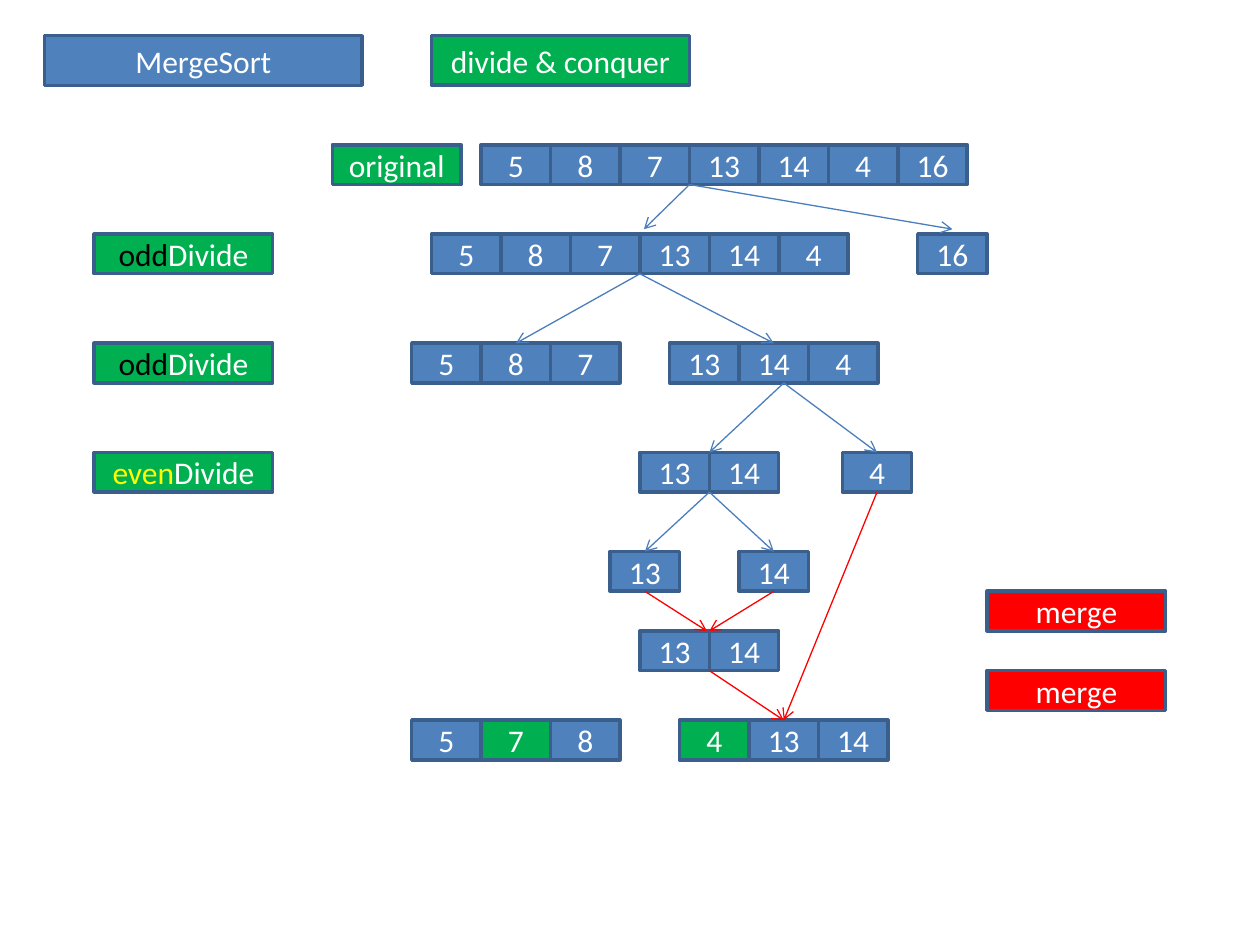
from dataclasses import dataclass

from pptx import Presentation
from pptx.dml.color import RGBColor
from pptx.enum.shapes import MSO_CONNECTOR as Connector, MSO_SHAPE as Shape
from pptx.enum.text import MSO_ANCHOR as Anchor, PP_ALIGN as Align
from pptx.oxml import parse_xml
from pptx.oxml.ns import nsdecls, qn
from pptx.util import Emu, Pt


@dataclass(frozen=True)
class Theme:
    blue: str = "4F81BD"
    green: str = "00B050"
    red: str = "FF0000"
    border: str = "3A5F8C"
    divide_arrow: str = "4B7EBC"
    white: str = "FFFFFF"
    black: str = "000000"
    yellow: str = "FFFF00"
    font: str = "Calibri"
    size: int = 18
    border_width: float = 2
    arrow_width: float = 0.75


THEME = Theme()
PX = 3600  # EMU
SLIDE_W, SLIDE_H = 2540, 1905
CELL_W, ROW_H = 140, 80
HEADER_Y, HEADER_H = 72, 100
STEP_W = 360
STEP_X, MERGE_X = 190, 1990
BOTTOM, TOP = 2, 0

TITLE = "MergeSort"
ODD = [("odd", THEME.black), ("Divide", THEME.white)]
EVEN = [("even", THEME.yellow), ("Divide", THEME.white)]
MERGE = [("merge", THEME.white)]

# runs, x, y, width, height, fill
LABELS = [
    ([("divide & conquer", THEME.white)], 870, HEADER_Y, 520, HEADER_H, THEME.green),
    ([("original", THEME.white)], 670, 292, 260, ROW_H, THEME.green),
    (ODD, STEP_X, 472, STEP_W, ROW_H, THEME.green),
    (ODD, STEP_X, 692, STEP_W, ROW_H, THEME.green),
    (EVEN, STEP_X, 912, STEP_W, ROW_H, THEME.green),
    (MERGE, MERGE_X, 1192, STEP_W, ROW_H, THEME.red),
    (MERGE, MERGE_X, 1352, STEP_W, ROW_H, THEME.red),
]

# x, y, numbers, the number picked out in green
LISTS = {
    "original": (970, 292, [5, 8, 7, 13, 14, 4, 16], None),
    "first six": (870, 472, [5, 8, 7, 13, 14, 4], None),
    "last": (1850, 472, [16], None),
    "left three": (830, 692, [5, 8, 7], None),
    "right three": (1350, 692, [13, 14, 4], None),
    "pair": (1290, 912, [13, 14], None),
    "four": (1698, 912, [4], None),
    "thirteen": (1230, 1112, [13], None),
    "fourteen": (1490, 1112, [14], None),
    "merged pair": (1290, 1272, [13, 14], None),
    "left sorted": (830, 1452, [5, 7, 8], 7),
    "right sorted": (1370, 1452, [4, 13, 14], 4),
}

# from, to, shift of the start, shift of the end (both from the list's middle)
DIVIDE_ARROWS = [
    ("original", "first six", (-70, 0), (8, -10)),
    ("original", "last", (-70, 0), (0, -10)),
    ("first six", "left three", (0, 0), (0, 0)),
    ("first six", "right three", (0, 0), (0, 0)),
    ("right three", "pair", (20, 0), (0, 0)),
    ("right three", "four", (20, 0), (0, 0)),
    ("pair", "thirteen", (0, 0), (0, 0)),
    ("pair", "fourteen", (0, 0), (0, 0)),
]
MERGE_ARROWS = [
    ("thirteen", "merged pair", (0, 0), (-5, 0)),
    ("fourteen", "merged pair", (0, 0), (0, 0)),
    ("merged pair", "right sorted", (0, 0), (0, 0)),
    ("four", "right sorted", (0, 0), (0, 0)),
]


def px(*lengths):
    return [Emu(round(length * PX)) for length in lengths]


def dress(box, runs, fill):
    """Give a box its fill, border and centred text."""
    box.fill.solid()
    box.fill.fore_color.rgb = RGBColor.from_string(fill)
    box.line.color.rgb = RGBColor.from_string(THEME.border)
    box.line.width = Pt(THEME.border_width)
    frame = box.text_frame
    frame.word_wrap = True
    frame.vertical_anchor = Anchor.MIDDLE
    paragraph = frame.paragraphs[0]
    paragraph.alignment = Align.CENTER
    for text, colour in runs:
        run = paragraph.add_run()
        run.text = text
        run.font.name = THEME.font
        run.font.size = Pt(THEME.size)
        run.font.color.rgb = RGBColor.from_string(colour)


def add_box(slide, runs, x, y, width, height, fill):
    box = slide.shapes.add_shape(Shape.RECTANGLE, *px(x, y, width, height))
    box.shadow.inherit = False
    dress(box, runs, fill)
    return box


def add_title(slide):
    title = slide.shapes.title
    title.left, title.top, title.width, title.height = px(90, HEADER_Y, 640, HEADER_H)
    rounded = parse_xml(f'<a:prstGeom {nsdecls("a")} prst="roundRect"><a:avLst/></a:prstGeom>')
    title.element.spPr.find(qn("a:xfrm")).addnext(rounded)
    dress(title, [(TITLE, THEME.white)], THEME.blue)


def add_list(slide, x, y, numbers, picked):
    return [
        add_box(slide, [(str(number), THEME.white)], x + i * CELL_W, y, CELL_W, ROW_H,
                THEME.green if number == picked else THEME.blue)
        for i, number in enumerate(numbers)
    ]


def middle(name, side, shift):
    """Point on the top or bottom of a list, shifted from its middle."""
    x, y, numbers, _ = LISTS[name]
    edge = y + ROW_H if side == BOTTOM else y
    return x + len(numbers) * CELL_W / 2 + shift[0], edge + shift[1]


def middle_cell(cells, shift):
    """The cell whose side the arrow meets at its middle, if there is one."""
    return cells[len(cells) // 2] if len(cells) % 2 and shift == (0, 0) else None


def add_arrow(slide, rows, source, target, start_shift, end_shift, colour):
    arrow = slide.shapes.add_connector(
        Connector.STRAIGHT,
        *px(*middle(source, BOTTOM, start_shift), *middle(target, TOP, end_shift)))
    start_cell = middle_cell(rows[source], start_shift)
    end_cell = middle_cell(rows[target], end_shift)
    if start_cell is not None:
        arrow.begin_connect(start_cell, BOTTOM)
    if end_cell is not None:
        arrow.end_connect(end_cell, TOP)
    arrow.line.color.rgb = RGBColor.from_string(colour)
    arrow.line.width = Pt(THEME.arrow_width)
    line = arrow.line._get_or_add_ln()
    line.append(parse_xml(f'<a:tailEnd {nsdecls("a")} type="arrow"/>'))
    line.addnext(parse_xml(f'<a:effectLst {nsdecls("a")}/>'))


def main():
    deck = Presentation()
    deck.slide_width, deck.slide_height = px(SLIDE_W, SLIDE_H)
    slide = deck.slides.add_slide(deck.slide_layouts.get_by_name("Title Only"))
    add_title(slide)
    for label in LABELS:
        add_box(slide, *label)
    rows = {name: add_list(slide, *row) for name, row in LISTS.items()}
    for arrows, colour in ((DIVIDE_ARROWS, THEME.divide_arrow), (MERGE_ARROWS, THEME.red)):
        for arrow in arrows:
            add_arrow(slide, rows, *arrow, colour)
    deck.save("out.pptx")


if __name__ == "__main__":
    main()
